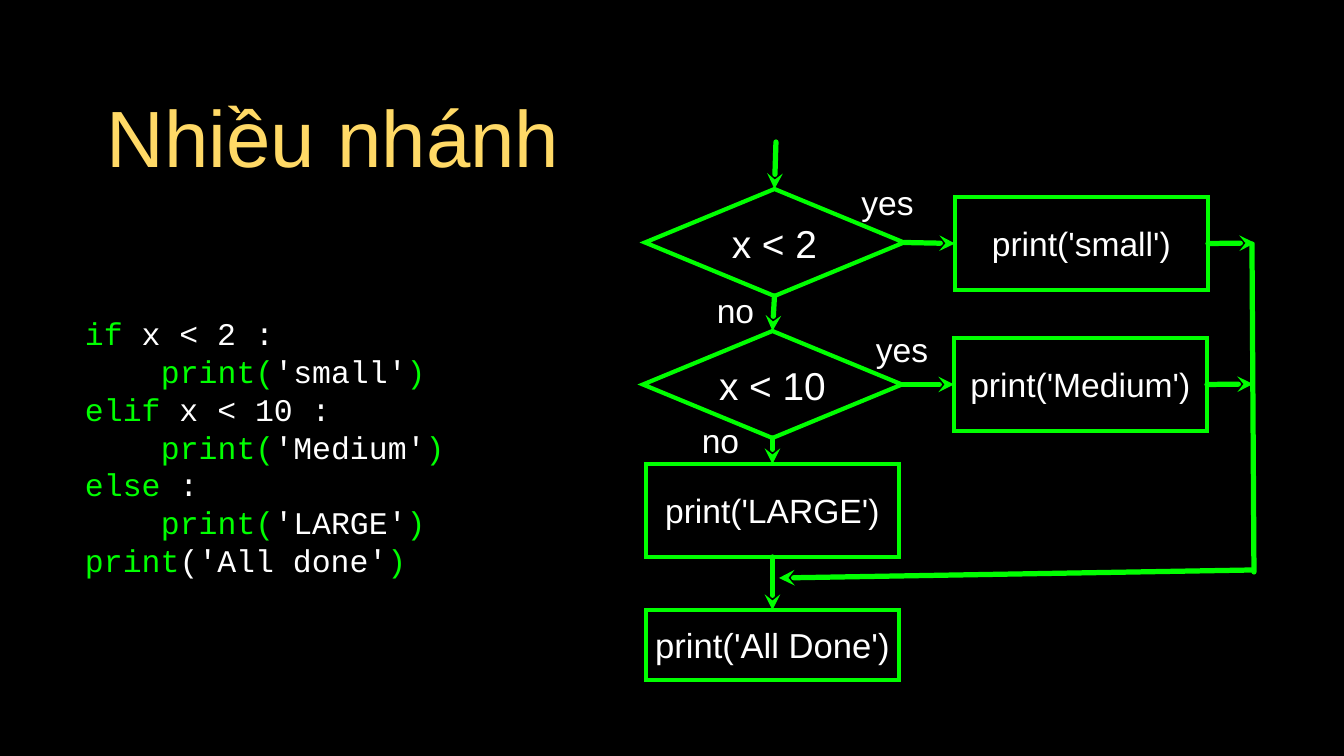
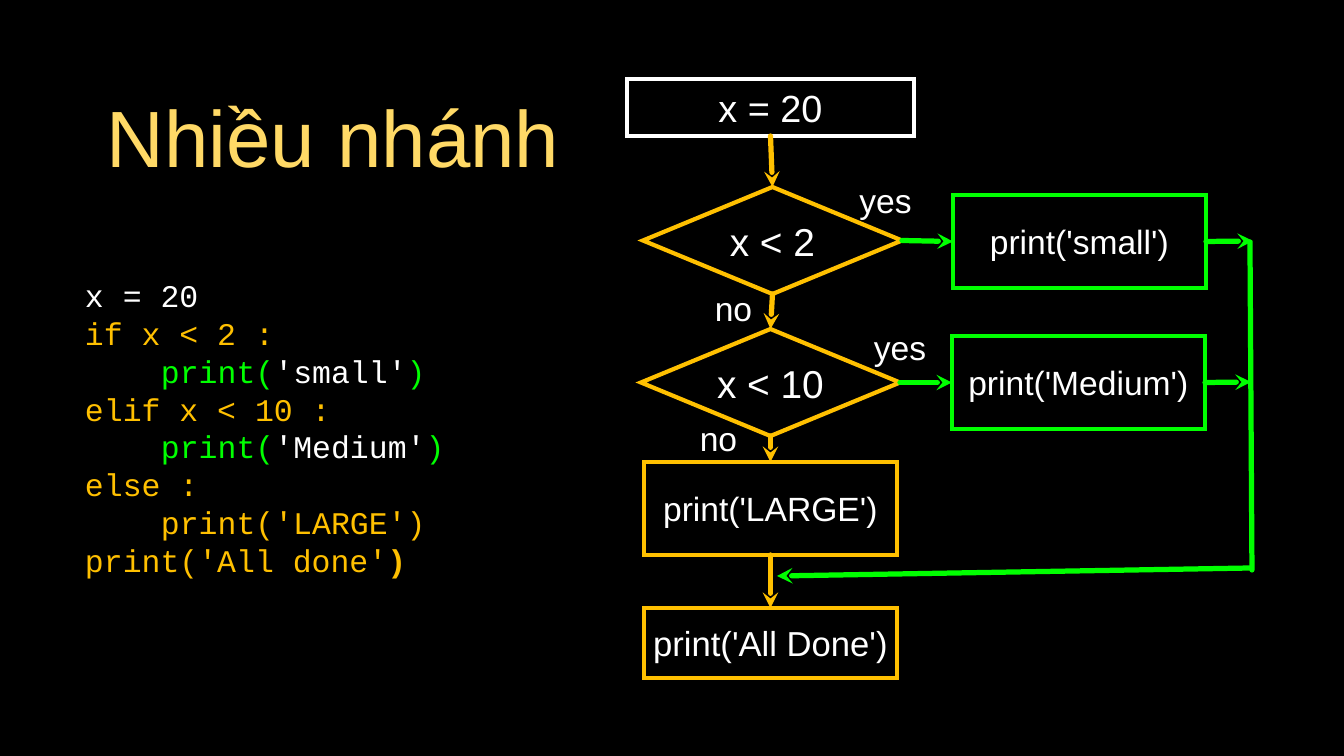
"""Two slides on multi-way branching: code on the left, its flowchart on the right."""
from pptx import Presentation
from pptx.dml.color import RGBColor
from pptx.enum.shapes import MSO_CONNECTOR as LINE, MSO_SHAPE as SHAPE
from pptx.enum.text import MSO_ANCHOR as ANCHOR, PP_ALIGN as ALIGN
from pptx.oxml.ns import qn
from pptx.util import Pt
from lxml.etree import SubElement

SCALE = 914400 / 75.6
COLORS = {"black": "000000", "white": "FFFFFF", "green": "00FF00",
          "orange": "FFC000", "title": "FFD966"}
TOP, LEFT, BOTTOM, RIGHT = range(4)
CODE_LINE = 38
CODE_INDENT = 76


def px(n):
    return round(n * SCALE)


def rgb(name):
    return RGBColor.from_string(COLORS[name])


def write(p, text, size=32, color="white", font="Arial", bold=False):
    r = p.add_run()
    r.text = text
    r.font.size, r.font.name, r.font.bold = Pt(size), font, bold
    r.font.color.rgb = rgb(color)


def prepare(sp, inset=0):
    tf = sp.text_frame
    tf.word_wrap = True
    tf.vertical_anchor = ANCHOR.MIDDLE
    tf.margin_left = tf.margin_right = tf.margin_top = tf.margin_bottom = px(inset)
    return tf


def add_label(s, x, y, w, h, text, inset=0, **fmt):
    tf = prepare(s.shapes.add_textbox(px(x), px(y), px(w), px(h)), inset)
    p = tf.paragraphs[0]
    p.alignment = ALIGN.CENTER
    write(p, text, **fmt)


def add_node(s, kind, x, y, w, h, text, color, size=32):
    sp = s.shapes.add_shape(kind, px(x), px(y), px(w), px(h))
    sp.shadow.inherit = False
    sp.fill.background()
    sp.line.color.rgb = rgb(color)
    sp.line.width = Pt(4)
    SubElement(sp.line._get_or_add_ln(), qn("a:miter"), lim="800000")
    p = prepare(sp).paragraphs[0]
    p.alignment = ALIGN.CENTER
    write(p, text, size=size)
    return sp


def add_line(s, color, start=(0, 0), end=(0, 0), source=None, target=None, arrow=True):
    """Draw a line between points, or joined to (shape, side) at either end."""
    sp = s.shapes.add_connector(LINE.STRAIGHT, *map(px, start + end))
    if source:
        sp.begin_connect(*source)
    if target:
        sp.end_connect(*target)
    sp.line.color.rgb = rgb(color)
    sp.line.width = Pt(5)
    ln = sp.line._get_or_add_ln()
    ln.set("cap", "rnd")
    if arrow:
        SubElement(ln, qn("a:tailEnd"), type="stealth")
    SubElement(sp._element.spPr, qn("a:effectLst"))


def print_call(arg):
    return True, [("print(", "green"), (arg, "white"), (")", "green")]


def keyword_line(keyword, rest):
    return False, [(keyword, "green"), (rest, "white")]


def add_code(s, lines, top_inset=0):
    tf = prepare(s.shapes.add_textbox(px(85), px(243), px(422), px(369)))
    tf.margin_top = px(top_inset)
    for i, (indented, runs) in enumerate(lines):
        p = tf.add_paragraph() if i else tf.paragraphs[0]
        if indented:
            p._p.get_or_add_pPr().set("marL", str(px(CODE_INDENT)))
        for text, color, *bold in runs:
            write(p, text, size=30, color=color, font="Courier New", bold=bool(bold))


def add_flowchart(s, taken, shift=0, first=None):
    """Draw the flowchart; taken colours the executed route, first is the opening step."""
    def at(x, y):
        return x + shift, y + shift

    def decision(x, y, text):
        return add_node(s, SHAPE.DIAMOND, *at(x, y), 259, 107, text, taken, 37)

    def step(x, y, text, color, h=93, size=32):
        return add_node(s, SHAPE.RECTANGLE, *at(x, y), 253, h, text, color, size)

    under_2 = decision(645, 189, "x < 2")
    under_10 = decision(643, 331, "x < 10")
    small = step(955, 197, "print('small')", "green")
    medium = step(954, 338, "print('Medium')", "green")
    large = step(646, 464, "print('LARGE')", taken)
    done = step(646, 610, "print('All Done')", taken, h=70, size=33)

    for x, y, w, text in ((859, 182, 57, "yes"), (870, 329, 64, "yes"),
                          (716, 290, 39, "no"), (701, 420, 39, "no")):
        add_label(s, *at(x, y), w, 41, text)

    if first:
        start = add_node(s, SHAPE.RECTANGLE, 627, 79, 287, 57, first, "white", 36)
        add_line(s, taken, source=(start, BOTTOM), target=(under_2, TOP))
    else:
        add_line(s, taken, start=at(776, 142), target=(under_2, TOP))
    for upper, lower in ((under_2, under_10), (under_10, large), (large, done)):
        add_line(s, taken, source=(upper, BOTTOM), target=(lower, TOP))
    for test, result, tip in ((under_2, small, (1255, 243)), (under_10, medium, (1253, 384))):
        add_line(s, "green", source=(test, RIGHT), target=(result, LEFT))
        add_line(s, "green", end=at(*tip), source=(result, RIGHT))
    add_line(s, "green", at(1252, 244), at(1254, 572), arrow=False)
    add_line(s, "green", at(1253, 570), at(779, 578))


def add_slide(prs):
    s = prs.slides.add_slide(prs.slide_layouts[6])
    s.background.fill.solid()
    s.background.fill.fore_color.rgb = rgb("black")
    add_label(s, 95, 62, 476, 148, "Nhiều nhánh", inset=3, size=76, color="title")
    return s


def main():
    prs = Presentation()
    prs.slide_width, prs.slide_height = px(1344), px(756)

    s = add_slide(prs)
    add_code(s, [
        keyword_line("if", " x < 2 :"),
        print_call("'small'"),
        keyword_line("elif", " x < 10 :"),
        print_call("'Medium'"),
        keyword_line("else", " :"),
        print_call("'LARGE'"),
        (False, [("print", "green"), ("('All done'", "white"), (")", "green")]),
    ], top_inset=CODE_LINE)
    add_flowchart(s, "green")

    s = add_slide(prs)
    add_code(s, [
        (False, [("x = 20", "white")]),
        (False, [("if x < 2 :", "orange")]),
        print_call("'small'"),
        (False, [("elif x < 10 :", "orange")]),
        print_call("'Medium'"),
        (False, [("else :", "orange")]),
        (True, [("print('LARGE')", "orange")]),
        (False, [("print('All done'", "orange"), (")", "orange", "bold")]),
    ])
    add_flowchart(s, "orange", shift=-2, first="x = 20")

    prs.save("out.pptx")


if __name__ == "__main__":
    main()
